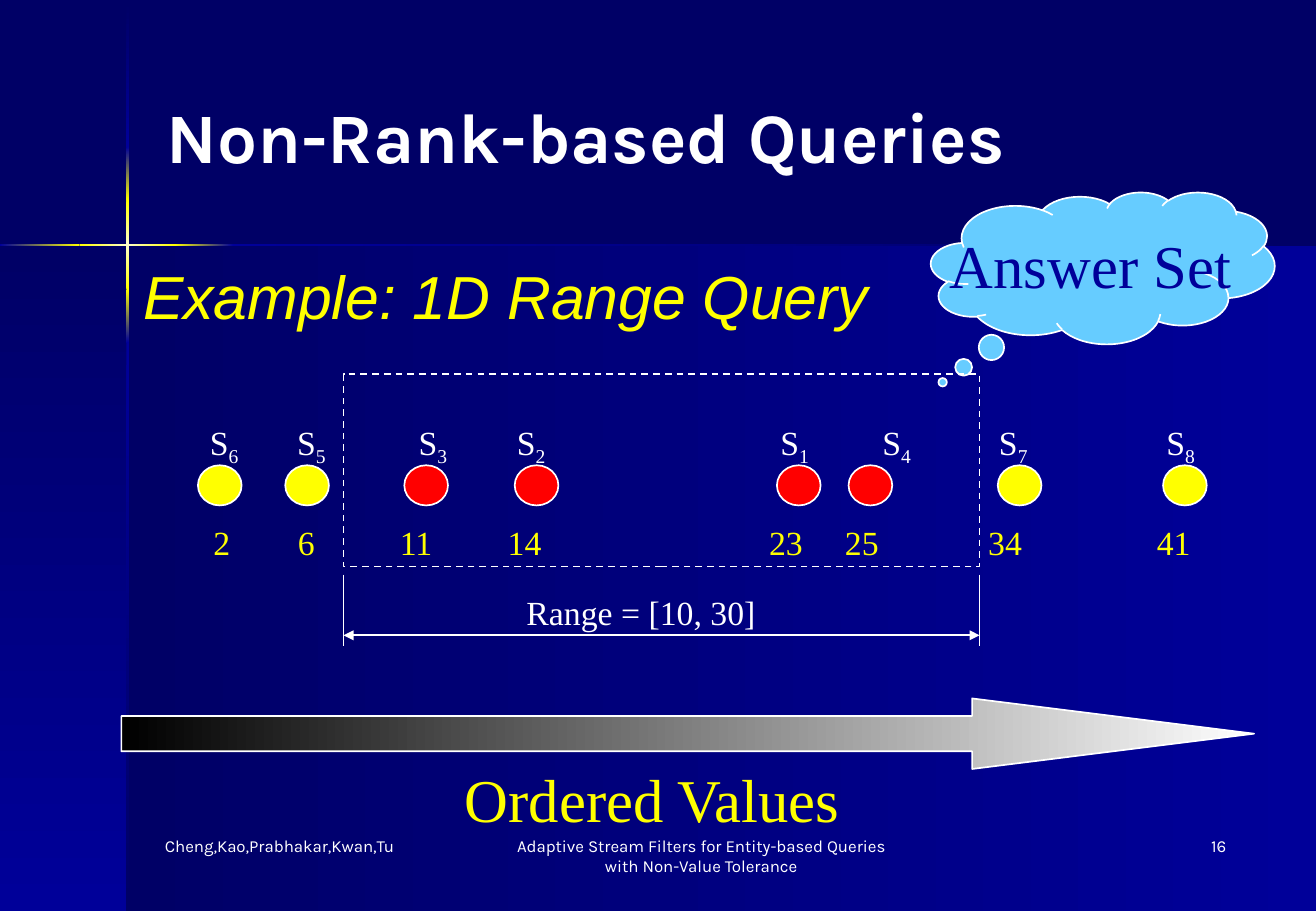
from copy import deepcopy
from dataclasses import dataclass

from lxml.etree import SubElement
from pptx import Presentation
from pptx.dml.color import RGBColor
from pptx.enum.dml import MSO_LINE
from pptx.enum.shapes import MSO_CONNECTOR, MSO_SHAPE as Preset
from pptx.enum.text import MSO_ANCHOR as Anchor, MSO_AUTO_SIZE as AutoSize, PP_ALIGN as Align
from pptx.oxml.ns import qn
from pptx.util import Pt


@dataclass(frozen=True)
class Theme:
    navy: str = "000066"
    blue: str = "000099"
    yellow: str = "FFFF00"
    cream: str = "FFFFCC"
    white: str = "FFFFFF"
    red: str = "FF0000"
    sky: str = "66CCFF"
    black: str = "000000"
    arrow_tip: str = "FEFEFE"
    heading_font: str = "Karla"
    example_font: str = "Arial"
    label_font: str = "Times New Roman"
    title_size: int = 42
    large_size: int = 36
    label_size: int = 20
    footer_size: int = 10
    line_width: int = 1


THEME = Theme()
SLIDE_WIDTH, SLIDE_HEIGHT = 780.48, 540
RANGE_LOW, RANGE_HIGH = 10, 30
RANGE_LEFT, RANGE_RIGHT = 203.8, 581
VALUES_LEFT, INSET = 119.5, 7.2

# stream number, value, left of label, left of dot, left of value
STREAMS = [
    (6, 2, 117.4, 117.4, 126.7),
    (5, 6, 169.2, 169.2, 176.7),
    (3, 11, 241.2, 239.8, 237.2),
    (2, 14, 299.5, 305.3, 301.2),
    (1, 23, 455.8, 460.8, 456.2),
    (4, 25, 516.2, 503.3, 501.2),
    (7, 34, 585.4, 591.8, 586.2),
    (8, 41, 684.7, 689.8, 686.2),
]

# box, angle, colours of each background band and crosshair bar
FADE_IN = (THEME.navy, THEME.blue)
FADE_OUT = (THEME.blue, THEME.navy)
GLOW_OUT = (THEME.yellow, THEME.blue)
GLOW_IN = (THEME.blue, THEME.yellow)
GLOW = (THEME.yellow, THEME.cream, THEME.yellow)
DOWN, LEFTWARD = 270, 180
BANDS = [
    ((75.6, 145.4, 704.88, 394.6), LEFTWARD, FADE_OUT),
    ((0, 145.4, 75.6, 394.6), DOWN, FADE_IN),
    ((74.9, 0.7, 1.5, 86.4), DOWN, FADE_IN),
    ((74.9, 203, 1.5, 337), DOWN, FADE_OUT),
    ((138.2, 144.6, 642.28, 1.5), LEFTWARD, FADE_IN),
    ((74.9, 171.4, 1.5, 31.6), DOWN, GLOW_OUT),
    ((74.9, 87.1, 1.5, 31.7), DOWN, GLOW_IN),
    ((74.9, 118.8, 1.5, 52.6), DOWN, GLOW),
    ((0, 144.6, 47.2, 1.5), LEFTWARD, GLOW_OUT),
    ((103.7, 144.6, 34.5, 1.5), LEFTWARD, GLOW_IN),
    ((47.2, 144.6, 56.5, 1.5), LEFTWARD, GLOW),
]


def rgb(color):
    return RGBColor.from_string(color)


def points(*lengths):
    return [Pt(length) for length in lengths]


def write(frame, text, *, size=THEME.label_size, color=THEME.white, font=THEME.label_font,
          bold=False, italic=False, align=Align.LEFT, subscript="", tabs=()):
    """Fill the first paragraph of a frame, with an optional subscript and tab stops."""
    paragraph = frame.paragraphs[0]
    paragraph.alignment = align
    if tabs:
        stops = SubElement(paragraph._p.get_or_add_pPr(), qn("a:tabLst"))
        for stop in tabs:
            SubElement(stops, qn("a:tab"), pos=str(Pt(stop)), algn="l")
    for part in filter(None, (text, subscript)):
        run = paragraph.add_run()
        run.text = part
        run.font.size, run.font.name = Pt(size), font
        run.font.bold, run.font.italic = bold, italic
        run.font.color.rgb = rgb(color)
    if subscript:
        run._r.get_or_add_rPr().set("baseline", "-25000")


class SlideBuilder:
    def __init__(self, slide, theme):
        self.slide, self.theme = slide, theme
        slide.background.fill.solid()
        slide.background.fill.fore_color.rgb = rgb(theme.navy)

    def title(self, box, text):
        title = self.slide.shapes.title
        title.element.getparent().append(title.element)  # in front of the bands
        title.left, title.top, title.width, title.height = points(*box)
        frame = title.text_frame
        frame.auto_size, frame.vertical_anchor = AutoSize.NONE, Anchor.MIDDLE
        write(frame, text, size=self.theme.title_size, font=self.theme.heading_font, bold=True)

    def text(self, box, text, **style):
        frame = self.slide.shapes.add_textbox(*points(*box)).text_frame
        frame.word_wrap, frame.auto_size = True, AutoSize.NONE
        write(frame, text, **style)

    def shape(self, preset, box, fill=None, outline=True, adjustments=()):
        shape = self.slide.shapes.add_shape(preset, *points(*box))
        shape.shadow.inherit = False
        for index, value in enumerate(adjustments):
            shape.adjustments[index] = value
        if fill:
            shape.fill.solid()
            shape.fill.fore_color.rgb = rgb(fill)
        else:
            shape.fill.background()
        if outline:
            shape.line.color.rgb = rgb(self.theme.white)
            shape.line.width = Pt(self.theme.line_width)
        else:
            shape.line.fill.background()
        return shape

    def gradient(self, preset, box, angle, colors, **options):
        """Add a shape with evenly spaced gradient colours."""
        shape = self.shape(preset, box, **options)
        shape.fill.gradient()
        shape.fill.gradient_angle = angle
        stop_list = shape.element.spPr.find(qn("a:gradFill")).find(qn("a:gsLst"))
        for _ in colors[2:]:
            stop_list.append(deepcopy(stop_list[0]))
        for index, (stop, color) in enumerate(zip(shape.fill.gradient_stops, colors)):
            stop.position = index / (len(colors) - 1)
            stop.color.rgb = rgb(color)

    def line(self, start, end, arrowheads=False):
        line = self.slide.shapes.add_connector(MSO_CONNECTOR.STRAIGHT, *points(*start, *end))
        line.line.color.rgb = rgb(self.theme.white)
        line.line.width = Pt(self.theme.line_width)
        properties = line.element.spPr
        if arrowheads:
            for tag in ("a:headEnd", "a:tailEnd"):
                SubElement(properties.find(qn("a:ln")), qn(tag), type="triangle")
        SubElement(properties, qn("a:effectLst"))


def draw_streams(page):
    for number, value, label_left, dot_left, _ in STREAMS:
        in_range = RANGE_LOW <= value <= RANGE_HIGH
        page.shape(Preset.OVAL, (dot_left, 275.8, 25.9, 23.8),
                   THEME.red if in_range else THEME.yellow)
        page.text((label_left, 246.2, 45, 34.6), "S", subscript=str(number))
    page.text((VALUES_LEFT, 306, 605.5, 31.7), "\t".join(str(stream[1]) for stream in STREAMS),
              color=THEME.yellow,
              tabs=[stream[4] - VALUES_LEFT - INSET for stream in STREAMS[1:]])


def draw_range(page):
    frame = page.shape(Preset.RECTANGLE, (RANGE_LEFT, 221.8, RANGE_RIGHT - RANGE_LEFT, 114))
    frame.line.dash_style = MSO_LINE.DASH
    page.line((RANGE_LEFT, 376.6), (RANGE_RIGHT, 376.6), arrowheads=True)
    for edge in (RANGE_LEFT, RANGE_RIGHT):
        page.line((edge, 340.6), (edge, 383))
    page.text((290.2, 347, 180, 31.7), f"Range = [{RANGE_LOW}, {RANGE_HIGH}]",
              align=Align.CENTER)


def draw_answer_cloud(page):
    cloud = page.shape(Preset.CLOUD_CALLOUT, (552.2, 113.8, 203.8, 90), THEME.sky,
                       adjustments=(-0.466, 0.753))
    cloud.text_frame.word_wrap = False
    cloud.text_frame.vertical_anchor = Anchor.MIDDLE
    write(cloud.text_frame, "Answer Set", size=THEME.large_size, color=THEME.blue,
          align=Align.CENTER)


def main():
    deck = Presentation()
    deck.slide_width, deck.slide_height = points(SLIDE_WIDTH, SLIDE_HEIGHT)
    page = SlideBuilder(deck.slides.add_slide(deck.slide_layouts[5]), THEME)
    for box, angle, colors in BANDS:
        page.gradient(Preset.RECTANGLE, box, angle, colors, outline=False)
    page.title((91.4, 23.8, 643.7, 113), "Non-Rank-based Queries")
    page.gradient(Preset.RIGHT_ARROW, (72, 414, 671.8, 41.8), LEFTWARD,
                  (THEME.arrow_tip, THEME.black), adjustments=(0.5, 4))
    page.text((268.6, 447.8, 260, 50.4), "Ordered Values",
              size=THEME.large_size, color=THEME.yellow)
    draw_answer_cloud(page)
    page.text((77.8, 149.8, 470, 50.4), "Example: 1D Range Query", size=THEME.large_size,
              color=THEME.yellow, font=THEME.example_font, italic=True)
    draw_streams(page)
    draw_range(page)
    for left, width, text, align in (
        (292.3, 247, "Adaptive Stream Filters for Entity-based Queries with Non-Value Tolerance",
         Align.CENTER),
        (571.7, 162.7, "16", Align.RIGHT),
        (90.7, 162.7, "Cheng,Kao,Prabhakar,Kwan,Tu", Align.LEFT),
    ):
        page.text((left, 491.8, width, 36), text, size=THEME.footer_size,
                  font=THEME.heading_font, align=align)
    deck.save("out.pptx")


if __name__ == "__main__":
    main()
